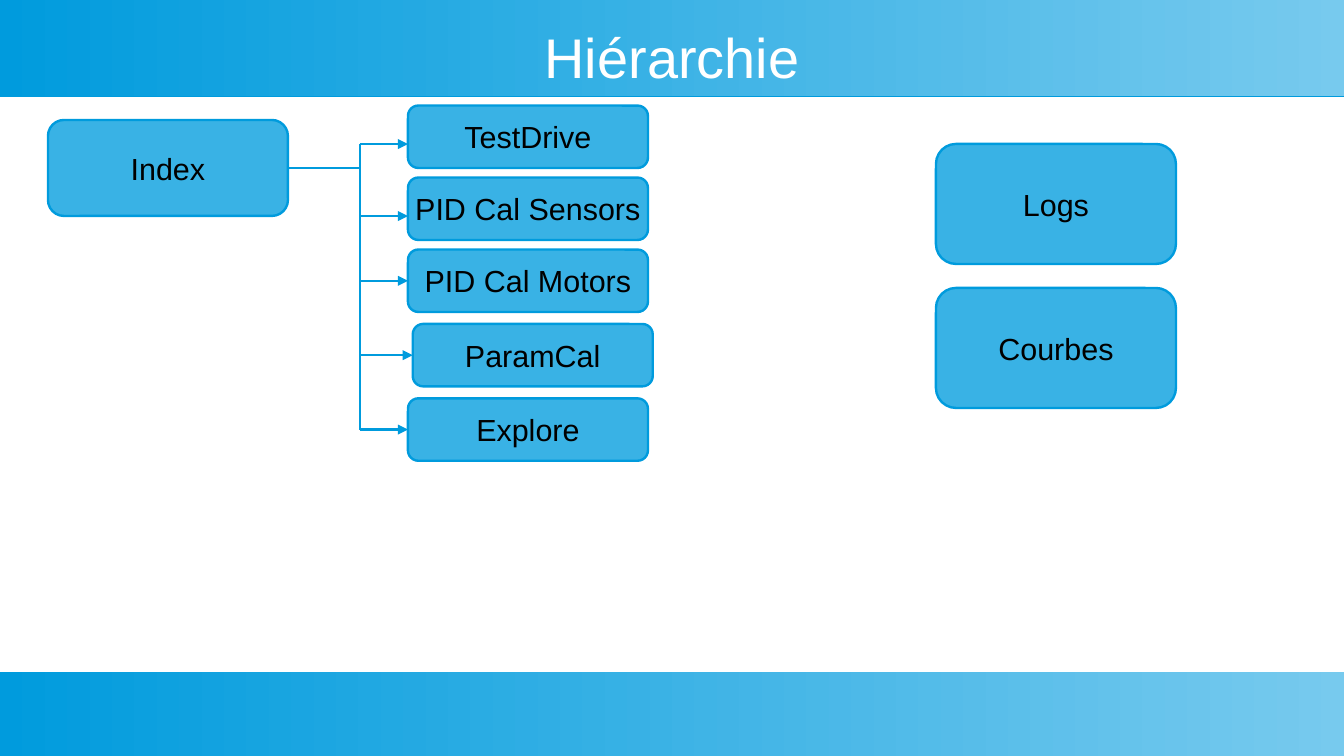
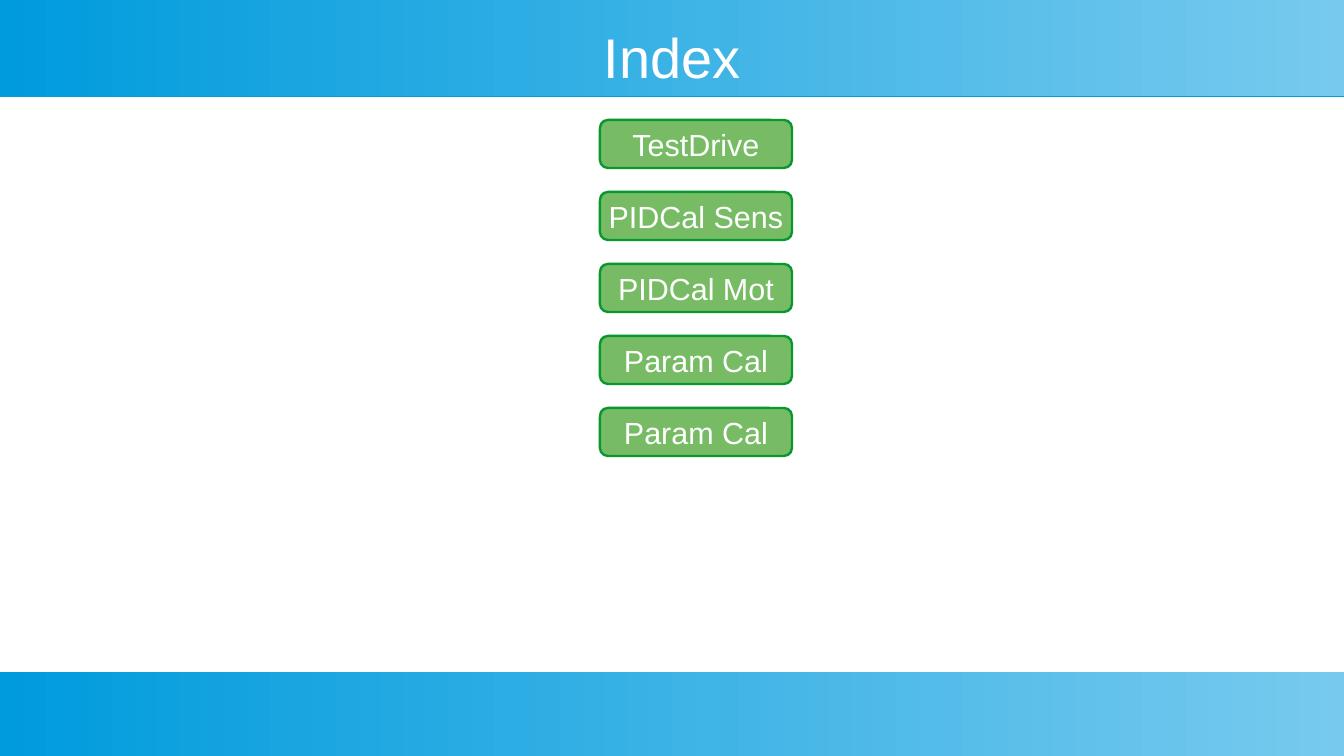
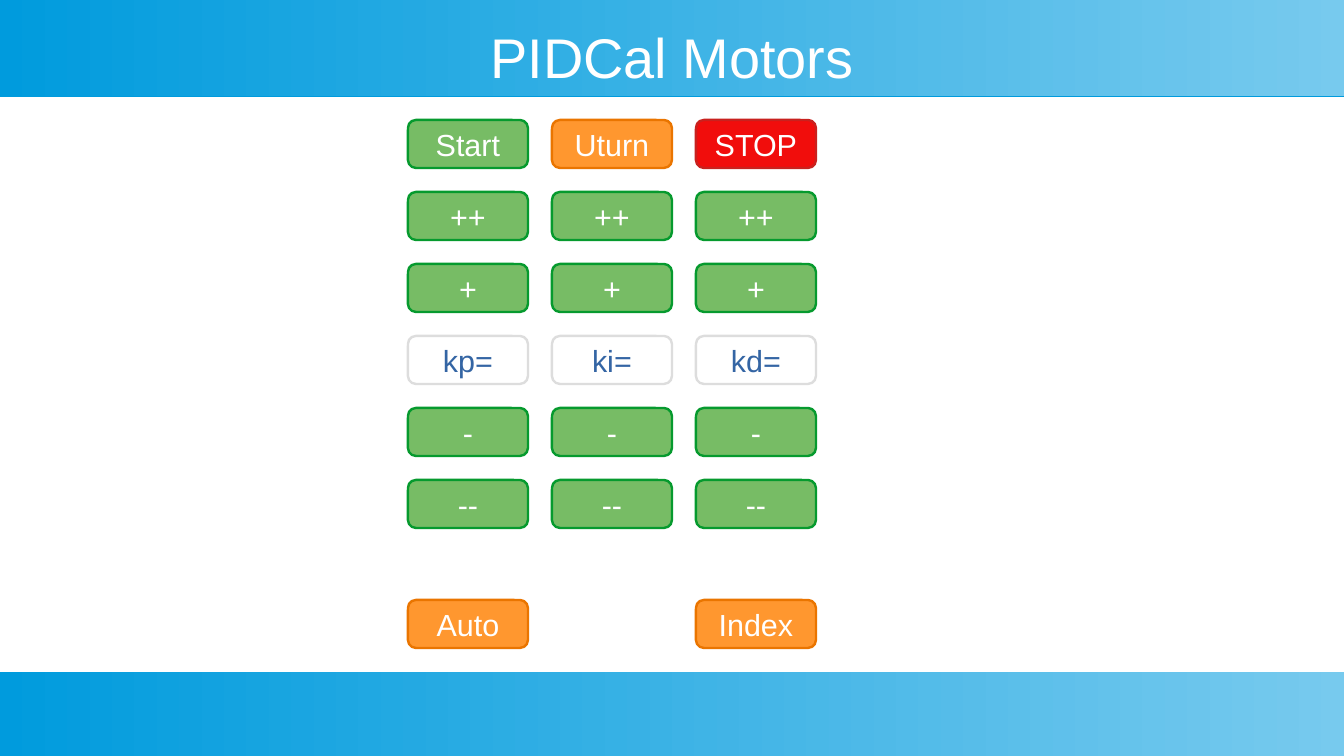
from dataclasses import dataclass

from pptx import Presentation
from pptx.dml.color import RGBColor
from pptx.enum.shapes import MSO_CONNECTOR as Link, MSO_SHAPE as Shape
from pptx.enum.text import MSO_ANCHOR as Anchor, PP_ALIGN as Align
from pptx.oxml.ns import qn
from pptx.util import Cm, Pt
from lxml.etree import SubElement


@dataclass(frozen=True)
class Theme:
    font: str = "Arial"
    title_size: float = 33
    label_size: float = 18
    line_width: float = 1.42
    white: str = "FFFFFF"
    accent: str = "009BDD"
    band_end: str = "77CAEE"


@dataclass(frozen=True)
class Style:
    fill: str
    line: str
    text: str


THEME = Theme()
PAGE_STYLE = Style("39B2E5", THEME.accent, "000000")
GREEN = Style("77BC65", "069A2E", THEME.white)
ORANGE = Style("FF972F", "EA7500", THEME.white)
RED = Style("F10D0C", "C9211E", THEME.white)
VALUE = Style(THEME.white, "DDDDDD", "3465A4")

# Lengths in centimetres
SLIDE_WIDTH, SLIDE_HEIGHT = 28, 15.75
GRID_TOP, ROW_STEP, COLUMN_STEP = 2.5, 1.5, 3
BUTTON_HEIGHT = 1
LEFT, RIGHT = 1, 3  # connection sites


def cm(*lengths):
    return [Cm(length) for length in lengths]


def write(shape, text, size, color):
    """Put one centred line of text in a shape."""
    frame = shape.text_frame
    frame.vertical_anchor = Anchor.MIDDLE
    para = frame.paragraphs[0]
    para.alignment = Align.CENTER
    span = para.add_run()
    span.text = text
    for name, value in {"name": THEME.font, "size": Pt(size)}.items():
        setattr(span.font, name, value)
    span.font.color.rgb = RGBColor.from_string(color)


def add_band(slide, top, height):
    """Full-width gradient bar with a thin hard shadow below it."""
    band = slide.shapes.add_shape(Shape.RECTANGLE, *cm(0, top, SLIDE_WIDTH, height))
    band.line.fill.background()
    band.fill.gradient()
    band.fill.gradient_angle = 0
    for stop, color in zip(band.fill.gradient_stops, (THEME.accent, THEME.band_end)):
        stop.color.rgb = RGBColor.from_string(color)
    band.shadow.inherit = False
    effects = band.element.spPr.find(qn("a:effectLst"))
    shadow = SubElement(effects, qn("a:outerShdw"), dist=str(Pt(0.9)),
                        dir="5400000", algn="tl", rotWithShape="0")
    SubElement(shadow, qn("a:srgbClr"), val=THEME.accent)


def add_page(deck, title):
    """New slide with the shared bands and title."""
    slide = deck.slides.add_slide(deck.slide_layouts[6])
    add_band(slide, 0, 2)
    add_band(slide, 14, 1.75)
    box = slide.shapes.add_textbox(*cm(1, 0.5, 26, 1.32))
    frame = box.text_frame
    frame.word_wrap = True
    for side in ("left", "top", "right", "bottom"):
        setattr(frame, f"margin_{side}", 0)
    write(box, title, THEME.title_size, THEME.white)
    return slide


def add_button(slide, text, style, left, top, width, height=BUTTON_HEIGHT):
    button = slide.shapes.add_shape(Shape.FLOWCHART_ALTERNATE_PROCESS,
                                    *cm(left, top, width, height))
    button.shadow.inherit = False
    button.fill.solid()
    button.fill.fore_color.rgb = RGBColor.from_string(style.fill)
    button.line.color.rgb = RGBColor.from_string(style.line)
    button.line.width = Pt(THEME.line_width)
    button.text_frame.word_wrap = False
    write(button, text, THEME.label_size, style.text)
    return button


def add_line(slide, start, end, arrow=False):
    line = slide.shapes.add_connector(Link.STRAIGHT, *cm(*start, *end))
    line.line.color.rgb = RGBColor.from_string(THEME.accent)
    line.line.width = Pt(THEME.line_width)
    if arrow:
        SubElement(line.line._get_or_add_ln(), qn("a:tailEnd"), type="triangle")
    SubElement(line.element.spPr, qn("a:effectLst"))
    return line


def build_hierarchy(deck):
    slide = add_page(deck, "Hiérarchie")
    trunk, child_left, child_height = 7.5, 8.5, 1.3

    # Root page and the trunk of the tree
    index = add_button(slide, "Index", PAGE_STYLE, 1, 2.5, 5, 2)
    add_line(slide, (6, 3.5), (trunk, 3.5)).begin_connect(index, RIGHT)
    add_line(slide, (trunk, 3), (trunk, 8.95))

    # Child pages: label, left, top, arrow height (None: middle of the box)
    children = [
        ("TestDrive", child_left, 2.2, 3),
        ("PID Cal Sensors", child_left, 3.7, 4.5),
        ("PID Cal Motors", child_left, 5.2, None),
        ("ParamCal", 8.6, 6.75, None),
        ("Explore", child_left, 8.3, None),
    ]
    for label, left, top, arrow_y in children:
        child = add_button(slide, label, PAGE_STYLE, left, top, 5, child_height)
        y = arrow_y or top + child_height / 2
        arrow = add_line(slide, (trunk, y), (left, y), arrow=True)
        if arrow_y is None:
            arrow.end_connect(child, LEFT)

    # Pages outside the tree
    for row, label in enumerate(("Logs", "Courbes")):
        add_button(slide, label, PAGE_STYLE, 19.5, 3 + 3 * row, 5, 2.5)


def build_index(deck):
    slide = add_page(deck, "Index")
    labels = ("TestDrive", "PIDCal Sens", "PIDCal Mot", "Param Cal", "Param Cal")
    for row, label in enumerate(labels):
        add_button(slide, label, GREEN, 12.5, GRID_TOP + ROW_STEP * row, 4)


def build_motors(deck):
    slide = add_page(deck, "PIDCal Motors")
    grid_left, width = 8.5, 2.5

    # Control grid, one row of three buttons per line
    rows = [
        (("Start", GREEN), ("Uturn", ORANGE), ("STOP", RED)),
        [("++", GREEN)] * 3,
        [("+", GREEN)] * 3,
        [(label, VALUE) for label in ("kp=", "ki=", "kd=")],
        [("-", GREEN)] * 3,
        [("--", GREEN)] * 3,
    ]
    for row, buttons in enumerate(rows):
        for column, (label, style) in enumerate(buttons):
            add_button(slide, label, style, grid_left + COLUMN_STEP * column,
                       GRID_TOP + ROW_STEP * row, width)

    # Navigation in the outer columns
    for column, label in ((0, "Auto"), (2, "Index")):
        add_button(slide, label, ORANGE, grid_left + COLUMN_STEP * column, 12.5, width)


def main():
    deck = Presentation()
    deck.slide_width, deck.slide_height = cm(SLIDE_WIDTH, SLIDE_HEIGHT)
    for build in (build_hierarchy, build_index, build_motors):
        build(deck)
    deck.save("out.pptx")


if __name__ == "__main__":
    main()
